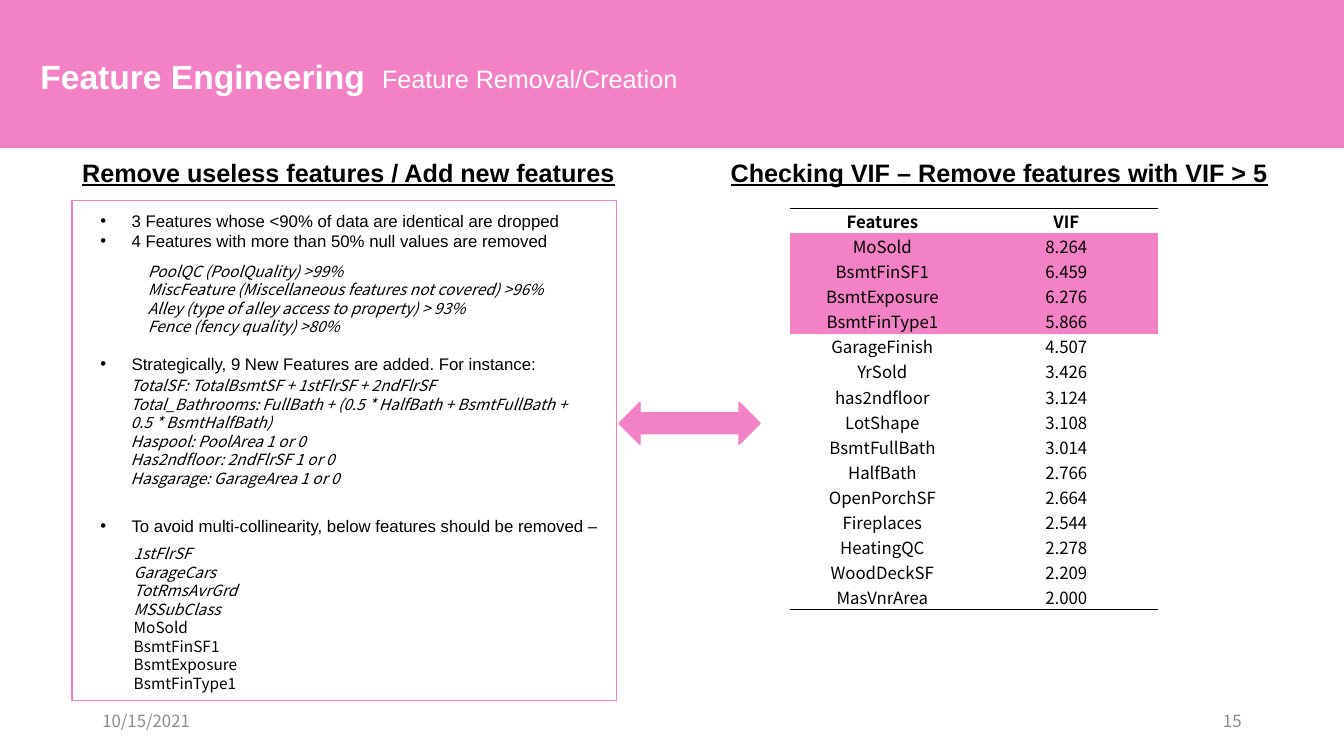
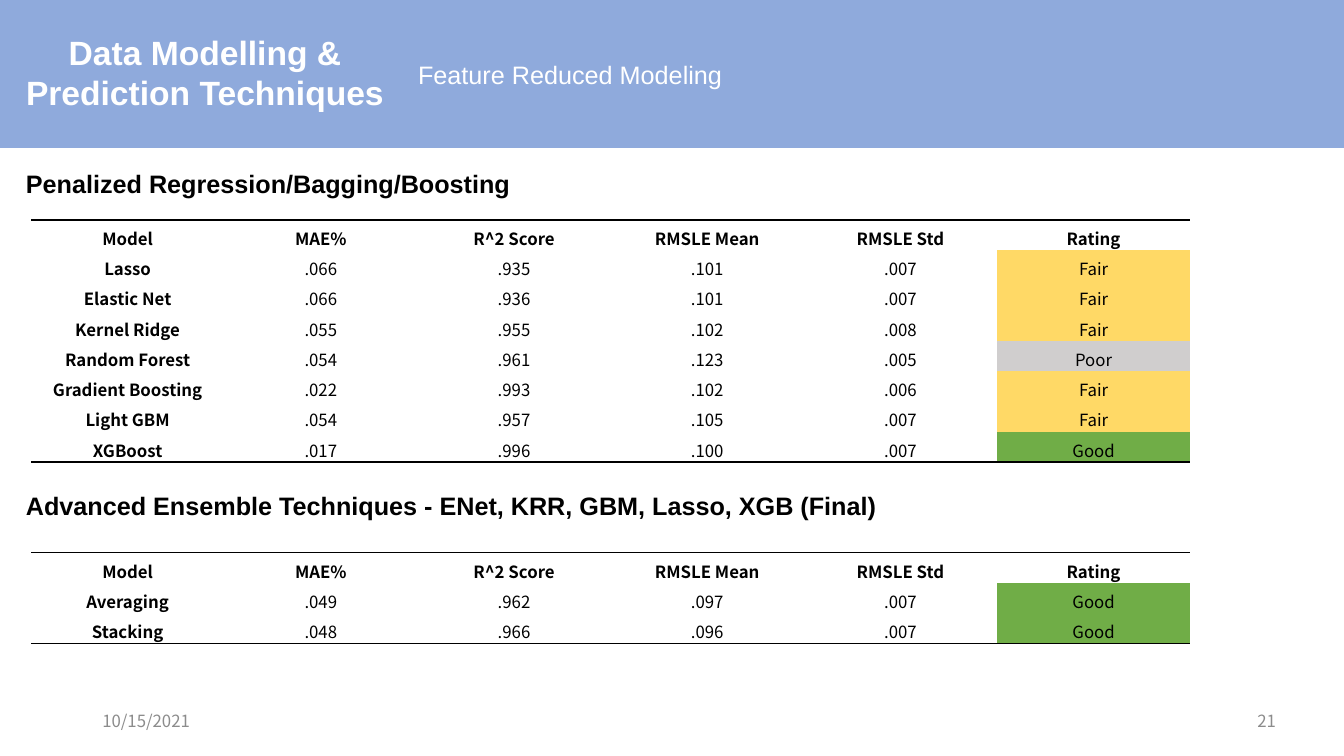
from lxml import etree
from pptx import Presentation, util as u
from pptx.dml.color import RGBColor
from pptx.enum import shapes, text
from pptx.oxml.ns import qn

# Shared style
PINK, BLUE = "F282C5", "8FAADC"
BLACK, WHITE, GREY = "000000", "FFFFFF", "8C8C8C"
RATING_FILLS = {"Good": "70AD47", "Fair": "FFD966", "Poor": "D0CECE"}
HEAD_FONT, BODY_FONT = "Arial", "Noto Sans CJK SC"
PLAIN_TABLE = "{2D5ABB26-0587-4C30-8999-92F81FD0307C}"
COLUMNS, ROWS = 160, 90
LINE_SPACING = 1.2
LEFT, CENTER, RIGHT = text.PP_ALIGN.LEFT, text.PP_ALIGN.CENTER, text.PP_ALIGN.RIGHT
TOP, MIDDLE, BOTTOM = text.MSO_ANCHOR.TOP, text.MSO_ANCHOR.MIDDLE, text.MSO_ANCHOR.BOTTOM


def rgb(color):
    return RGBColor.from_string(color)


class Deck:
    """Holds the style and the current slide; lengths are grid columns and rows."""

    def __init__(self):
        self.presentation = Presentation()
        self.presentation.slide_width = u.Inches(13.333)
        self.presentation.slide_height = u.Inches(7.5)
        self.slide = None
        self.accent = None

    def x(self, columns):
        return round(self.presentation.slide_width * columns / COLUMNS)

    def y(self, rows):
        return round(self.presentation.slide_height * rows / ROWS)

    def place(self, left, top, width, height):
        return self.x(left), self.y(top), self.x(width), self.y(height)

    def format(self, paragraph, size, color=BLACK, font=BODY_FONT, align=LEFT,
               bold=False, italic=False, underline=False):
        paragraph.alignment = align
        if font == BODY_FONT:
            paragraph.line_spacing = u.Pt(size * LINE_SPACING)
        for run in paragraph.runs:
            run.font.name = font
            run.font.size = u.Pt(size)
            run.font.bold, run.font.italic = bold, italic
            run.font.underline = underline
            run.font.color.rgb = rgb(color)

    def fill_text(self, shape, words, size, anchor=TOP, **style):
        frame = shape.text_frame
        frame.text = words
        frame.word_wrap = True
        frame.auto_size = text.MSO_AUTO_SIZE.NONE
        frame.vertical_anchor = anchor
        for paragraph in frame.paragraphs:
            self.format(paragraph, size, **style)

    def text_box(self, box, words, size, **style):
        shape = self.slide.shapes.add_textbox(*self.place(*box))
        self.fill_text(shape, words, size, **style)

    def heading(self, box, words, underline=False):
        self.text_box(box, words, 18, font=HEAD_FONT, bold=True, underline=underline)

    def shape(self, kind, box, filled=True):
        shape = self.slide.shapes.add_shape(kind, *self.place(*box))
        shape.shadow.inherit = False
        shape.line.color.rgb = rgb(self.accent)
        shape.line.width = u.Pt(1)
        if filled:
            shape.fill.solid()
            shape.fill.fore_color.rgb = rgb(self.accent)
        else:
            shape.fill.background()
        return shape

    def start_slide(self, accent, title, title_box, subtitle, subtitle_box,
                    number, number_left, align=LEFT):
        layout = self.presentation.slide_layouts[5]
        self.slide = self.presentation.slides.add_slide(layout)
        self.accent = accent
        # Band behind the title
        band = self.shape(shapes.MSO_SHAPE.RECTANGLE, (0, 0, COLUMNS, 17.5))
        holder = self.slide.shapes.title
        holder.element.addprevious(band.element)
        holder.left, holder.top, holder.width, holder.height = self.place(*title_box)
        self.fill_text(holder, title, 24, color=WHITE, font=HEAD_FONT,
                       bold=True, align=align)
        self.text_box(subtitle_box, subtitle, 18, color=WHITE, font=HEAD_FONT)
        # Footer
        for left, words, side in ((11, "10/15/2021", LEFT), (number_left, number, RIGHT)):
            self.text_box((left, 83.4, 36, 4.8), words, 12, color=GREY,
                          anchor=MIDDLE, align=side)

    def bullet(self, paragraph):
        properties = paragraph._p.get_or_add_pPr()
        hang = u.Inches(0.31)
        properties.set("marL", str(hang))
        properties.set("indent", str(-hang))
        etree.SubElement(properties, qn("a:buFont"), typeface=HEAD_FONT)
        etree.SubElement(properties, qn("a:buChar"), char="•")

    def framed_list(self, box, groups):
        """Each group: space before it, indent (None for bullets), italic, lines."""
        frame = self.shape(shapes.MSO_SHAPE.RECTANGLE, box, filled=False).text_frame
        frame.word_wrap = True
        frame.vertical_anchor = TOP
        frame.margin_left, frame.margin_right = u.Inches(0.28), u.Inches(0.05)
        frame.margin_top = u.Inches(0.1)
        paragraph = frame.paragraphs[0]
        for gap, indent, italic, lines in groups:
            for index, line in enumerate(lines):
                if paragraph.runs:
                    paragraph = frame.add_paragraph()
                paragraph.text = line
                paragraph.space_before = u.Pt(0 if index else gap)
                if indent is None:
                    self.format(paragraph, 12, font=HEAD_FONT)
                    self.bullet(paragraph)
                else:
                    self.format(paragraph, 11, italic=italic)
                    paragraph._p.get_or_add_pPr().set("marL", str(u.Inches(indent)))

    def rule(self, cell, side):
        line = etree.Element(qn(f"a:{side}"), w=str(u.Pt(1)))
        fill = etree.SubElement(line, qn("a:solidFill"))
        etree.SubElement(fill, qn("a:srgbClr"), val=BLACK)
        cell._tc.get_or_add_tcPr().insert(0, line)

    def table(self, left, top, width, row_height, records, fill_for, bold_first=False):
        count, fields = len(records), len(records[0])
        box = self.place(left, top, width, row_height * count)
        table = self.slide.shapes.add_table(count, fields, *box).table
        table.first_row = table.horz_banding = False
        table._tbl.tblPr.find(qn("a:tableStyleId")).text = PLAIN_TABLE
        for r, record in enumerate(records):
            table.rows[r].height = self.y(row_height)
            for c, value in enumerate(record):
                cell = table.cell(r, c)
                cell.margin_top = cell.margin_bottom = 0
                cell.vertical_anchor = BOTTOM
                cell.text = value
                self.format(cell.text_frame.paragraphs[0], 12, align=CENTER,
                            bold=r == 0 or (bold_first and c == 0))
                color = fill_for(record, c) if r else None
                if color:
                    cell.fill.solid()
                    cell.fill.fore_color.rgb = rgb(color)
                else:
                    cell.fill.background()
                if r == 0:
                    self.rule(cell, "lnT")
                if r == count - 1:
                    self.rule(cell, "lnB")


FEATURE_NOTES = [
    (0, None, False, ["3 Features whose <90% of data are identical are dropped",
                      "4 Features with more than 50% null values are removed"]),
    (7.6, 0.47, True, ["PoolQC (PoolQuality) >99%",
                       "MiscFeature (Miscellaneous features not covered) >96%",
                       "Alley (type of alley access to property) > 93%",
                       "Fence (fency quality) >80%"]),
    (13, None, False, ["Strategically, 9 New Features are added. For instance:"]),
    (1.5, 0.3, True, ["TotalSF: TotalBsmtSF + 1stFlrSF + 2ndFlrSF",
                      "Total_Bathrooms: FullBath + (0.5 * HalfBath + BsmtFullBath +"
                      "\v0.5 * BsmtHalfBath)",
                      "Haspool: PoolArea 1 or 0",
                      "Has2ndfloor: 2ndFlrSF 1 or 0",
                      "Hasgarage: GarageArea 1 or 0"]),
    (20.5, None, False,
     ["To avoid multi-collinearity, below features should be removed –"]),
    (6, 0.33, True, ["1stFlrSF", "GarageCars", "TotRmsAvrGrd", "MSSubClass"]),
    (0, 0.33, False, ["MoSold", "BsmtFinSF1", "BsmtExposure", "BsmtFinType1"]),
]

VIF_TABLE = [
    ("Features", "VIF"), ("MoSold", "8.264"), ("BsmtFinSF1", "6.459"),
    ("BsmtExposure", "6.276"), ("BsmtFinType1", "5.866"), ("GarageFinish", "4.507"),
    ("YrSold", "3.426"), ("has2ndfloor", "3.124"), ("LotShape", "3.108"),
    ("BsmtFullBath", "3.014"), ("HalfBath", "2.766"), ("OpenPorchSF", "2.664"),
    ("Fireplaces", "2.544"), ("HeatingQC", "2.278"), ("WoodDeckSF", "2.209"),
    ("MasVnrArea", "2.000"),
]

MODEL_HEADER = ("Model", "MAE%", "R^2 Score", "RMSLE Mean", "RMSLE Std", "Rating")
SINGLE_MODELS = [
    ("Lasso", ".066", ".935", ".101", ".007", "Fair"),
    ("Elastic Net", ".066", ".936", ".101", ".007", "Fair"),
    ("Kernel Ridge", ".055", ".955", ".102", ".008", "Fair"),
    ("Random Forest", ".054", ".961", ".123", ".005", "Poor"),
    ("Gradient Boosting", ".022", ".993", ".102", ".006", "Fair"),
    ("Light GBM", ".054", ".957", ".105", ".007", "Fair"),
    ("XGBoost", ".017", ".996", ".100", ".007", "Good"),
]
ENSEMBLES = [
    ("Averaging", ".049", ".962", ".097", ".007", "Good"),
    ("Stacking", ".048", ".966", ".096", ".007", "Good"),
]


def high_vif_fill(record, column):
    return PINK if float(record[1]) > 5 else None


def rating_fill(record, column):
    return RATING_FILLS.get(record[column])


def feature_slide(deck):
    deck.start_slide(PINK, "Feature Engineering", (3.6, 6.1, 42, 6),
                     "Feature Removal/Creation", (44.3, 7, 40, 4.8), "15", 113)
    deck.heading((8.6, 18.1, 70, 4.8), "Remove useless features / Add new features", True)
    deck.heading((85.8, 18.1, 70, 4.8), "Checking VIF – Remove features with VIF > 5", True)
    deck.framed_list((8.6, 23.9, 64.8, 59.5), FEATURE_NOTES)
    deck.table(94.1, 24.8, 43.8, 2.99, VIF_TABLE, high_vif_fill)
    deck.shape(shapes.MSO_SHAPE.LEFT_RIGHT_ARROW, (73.7, 47.9, 16.8, 5))


def modeling_slide(deck):
    deck.start_slide(BLUE, "Data Modelling &\nPrediction Techniques", (0.4, 3.2, 48, 11),
                     "Feature Reduced Modeling", (48.6, 6.5, 42, 4.8), "21", 117.1,
                     align=CENTER)
    sections = [
        (19.4, 26.2, "Penalized Regression/Bagging/Boosting", SINGLE_MODELS),
        (57.8, 65.8, "Advanced Ensemble Techniques - ENet, KRR, GBM, Lasso, XGB (Final)",
         ENSEMBLES),
    ]
    for heading_top, table_top, words, models in sections:
        deck.heading((1.9, heading_top, 110, 4.8), words)
        deck.table(3.7, table_top, 138, 3.6, [MODEL_HEADER] + models, rating_fill, True)


def main():
    deck = Deck()
    feature_slide(deck)
    modeling_slide(deck)
    deck.presentation.save("out.pptx")


if __name__ == "__main__":
    main()
